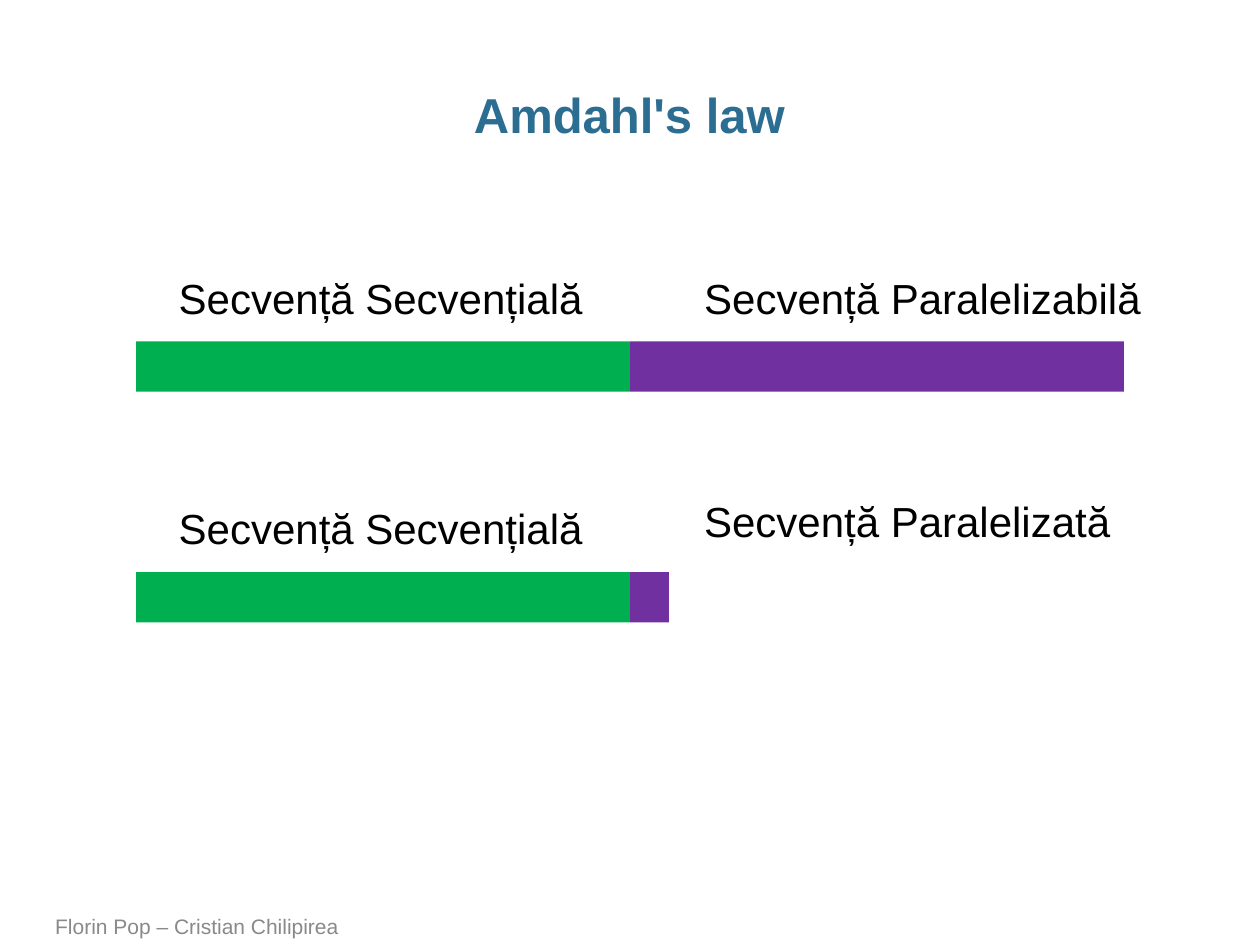
from pptx import Presentation
from pptx.dml.color import RGBColor
from pptx.enum import shapes, text
from pptx.util import Inches, Pt

SEQUENTIAL, PARALLEL = "00B050", "7030A0"


def rgb(value):
    return RGBColor.from_string(value)


def style(p, size, color, bold=False):
    p.font.name = "Arial"
    p.font.size = Pt(size)
    p.font.bold = bold
    p.font.color.rgb = rgb(color)


def add_title(s, words, x, y, w, h):
    sp = s.shapes.title
    sp.left, sp.top, sp.width, sp.height = map(Inches, (x, y, w, h))
    tf = sp.text_frame
    tf.text = words
    tf.margin_left = tf.margin_right = 0
    tf.vertical_anchor = text.MSO_ANCHOR.MIDDLE
    p = tf.paragraphs[0]
    p.alignment = text.PP_ALIGN.CENTER
    p.line_spacing = 0.95
    style(p, 28, "2C6D92", bold=True)


def add_text(s, words, x, y, w, h, size, color, wrap=False,
             anchor=text.MSO_ANCHOR.TOP):
    tf = s.shapes.add_textbox(*map(Inches, (x, y, w, h))).text_frame
    tf.text = words
    tf.word_wrap = wrap
    tf.vertical_anchor = anchor
    style(tf.paragraphs[0], size, color)


def add_bar(s, x, y, segments, h=0.4):
    """Place segments of (width, colour) end to end from x."""
    for w, color in segments:
        sp = s.shapes.add_shape(shapes.MSO_SHAPE.RECTANGLE,
                                *map(Inches, (x, y, w, h)))
        sp.shadow.inherit = False
        sp.fill.solid()
        sp.fill.fore_color.rgb = rgb(color)
        sp.line.fill.background()
        x += w


def add_timeline(s, x, y, parallel_w, label, label_w, label_y):
    """A sequential part followed by a parallel part, each with a label."""
    sequential_w = 3.92
    add_bar(s, x, y, [(sequential_w, SEQUENTIAL), (parallel_w, PARALLEL)])
    add_text(s, "Secvență Secvențială", x + 0.24, y - 0.6, 3.44, 0.5,
             24, "000000")
    add_text(s, label, x + sequential_w + 0.49, label_y, label_w, 0.5,
             24, "000000")


def main():
    prs = Presentation()
    prs.slide_width, prs.slide_height = Inches(10), Inches(7.5)
    s = prs.slides.add_slide(prs.slide_layouts[5])

    add_title(s, "Amdahl's law", 0.34, 0.68, 9.31, 0.5)

    # Run time before and after parallelising
    add_timeline(s, 1.08, 2.71, 3.92, "Secvență Paralelizabilă", 3.71, 2.11)
    add_timeline(s, 1.08, 4.54, 0.31, "Secvență Paralelizată", 3.46, 3.88)

    # Footer
    add_text(s, "Florin Pop – Cristian Chilipirea", 0.34, 7.22, 7.37, 0.28,
             12, "898989", wrap=True, anchor=text.MSO_ANCHOR.BOTTOM)

    prs.save("out.pptx")


if __name__ == "__main__":
    main()
